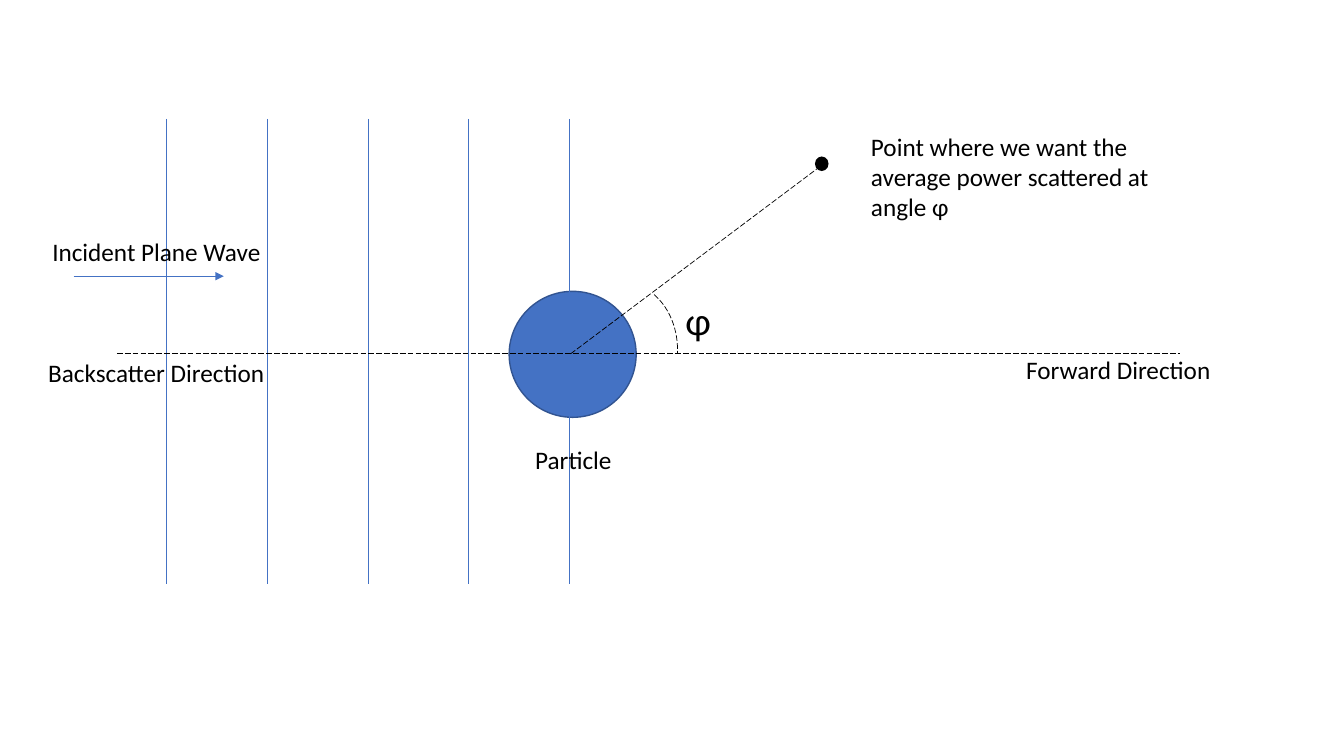
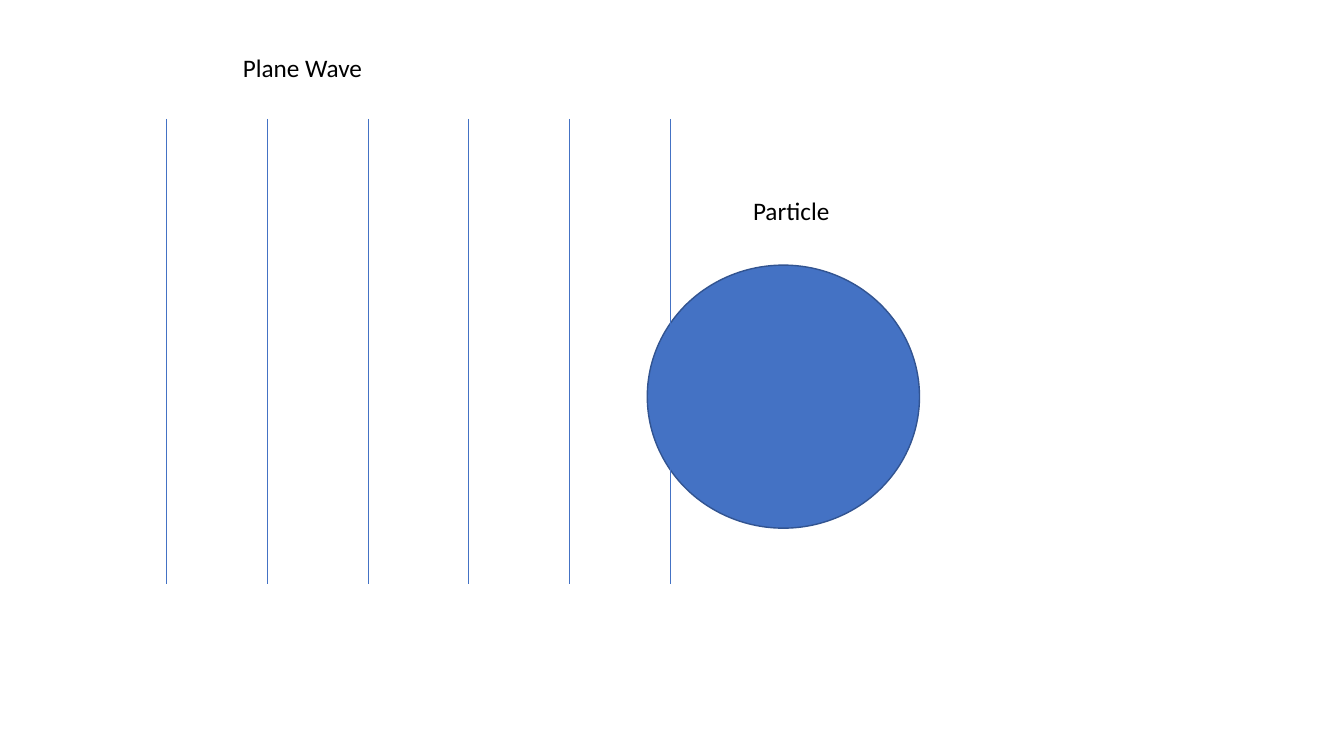
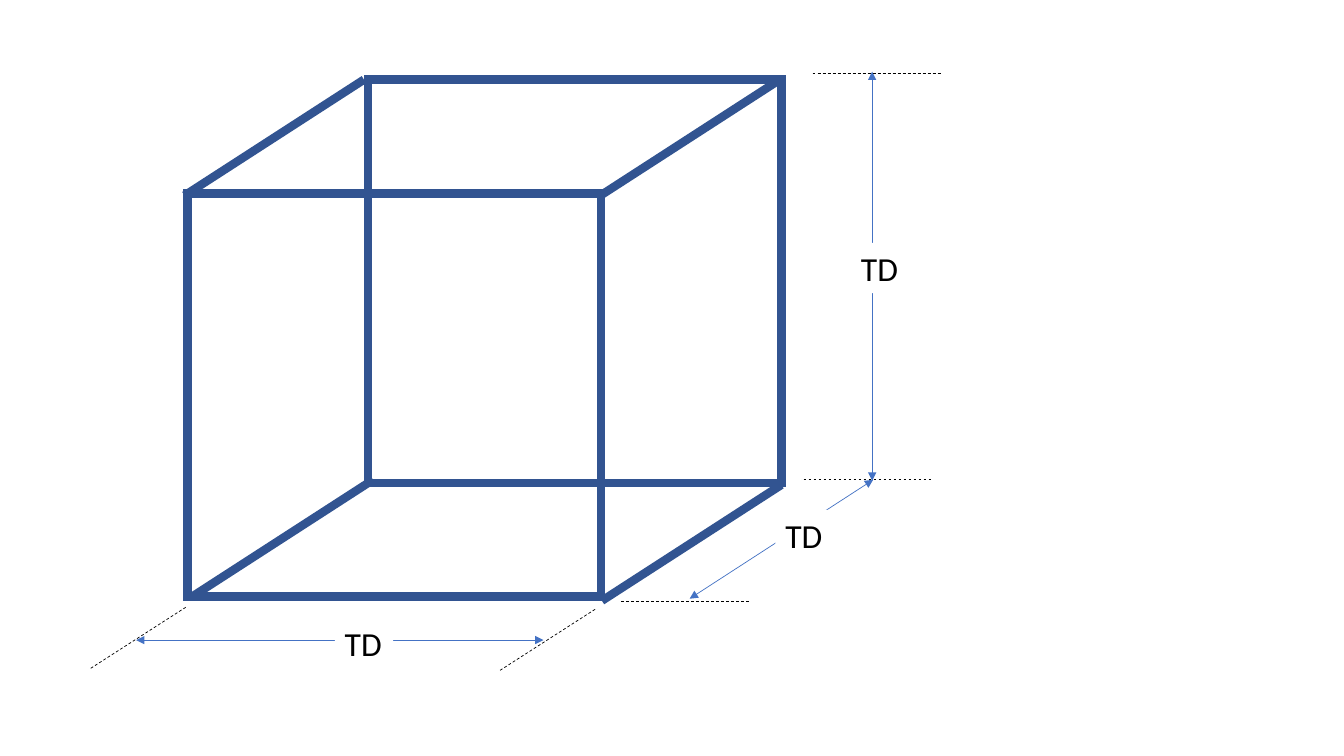
from lxml.etree import SubElement
from pptx import Presentation
from pptx.dml.color import RGBColor
from pptx.enum.dml import MSO_LINE as DASH
from pptx.enum.shapes import MSO_CONNECTOR as LINK, MSO_SHAPE as SHAPE
from pptx.enum.text import MSO_AUTO_SIZE as FIT
from pptx.oxml.ns import qn
from pptx.util import Inches, Pt

WIDTH, HEIGHT = 13.33, 7.5
FONT = "Calibri"
BLUE, NAVY, BLACK, WHITE = "4472C4", "325491", "000000", "FFFFFF"
THIN, OUTLINE, THICK = 0.5, 1, 6

WAVE_LEFT, WAVE_TOP, WAVE_STEP, WAVE_HEIGHT = 1.65, 1.18, 1, 4.61
LABEL_WIDTH, LABEL_HEIGHT = 1.99, 0.4

SCATTER_LABELS = [
    ("Particle", (5.21, 4.36, LABEL_WIDTH, LABEL_HEIGHT), 18, True),
    ("Incident Plane Wave", (0.42, 2.3, 2.29, LABEL_HEIGHT), 18, False),
    ("Point where we want the average power scattered at angle φ ",
     (8.54, 1.25, 3.09, 1.01), 18, True),
    ("Forward Direction", (10.08, 3.47, 2.05, LABEL_HEIGHT), 18, False),
    ("Backscatter Direction", (0.38, 3.5, 2.37, LABEL_HEIGHT), 18, False),
    ("φ", (6.7, 2.89, 0.56, 0.57), 28, True),
]
WAVE_LABELS = [
    ("Plane Wave", (2.31, 0.47, LABEL_WIDTH, LABEL_HEIGHT), 18, True),
    ("Particle", (7.37, 1.89, LABEL_WIDTH, LABEL_HEIGHT), 18, True),
]
AXIS_Y = 3.51
ANGLE_START, ANGLE_END = 300.21, 3.25

CUBE_SIZE = (4.1, 4)
BACK_FACE, FRONT_FACE = (3.65, 0.79), (1.86, 1.92)
DEPTH = (1.78, -1.15)
DEPTH_EDGES = [(1.83, 1.94), (1.92, 5.91), (5.97, 5.96), (5.94, 1.95)]
DIMENSIONS = [
    ((8.65, 0.71), (8.65, 4.77), (8.44, 2.41, 1.85, 0.5)),
    ((8.66, 4.76), (6.84, 5.94), (7.69, 5.06, 1.85, 0.5)),
    ((5.39, 6.35), (1.35, 6.35), (3.32, 6.13, 0.58, 0.5)),
]
EXTENSIONS = [
    ((1.27, 0), [(8.06, 0.73), (7.97, 4.76), (6.16, 5.97)]),
    ((0.95, -0.61), [(4.96, 6.65), (0.9, 6.63)]),
]


def rgb(color):
    return RGBColor.from_string(color)


def inches(values):
    return [Inches(v) for v in values]


def shift(point, step):
    return point[0] + step[0], point[1] + step[1]


def style_line(item, color, width, dash=None):
    item.line.color.rgb = rgb(color)
    item.line.width = Pt(width)
    if dash:
        item.line.dash_style = dash
    ln = item.line._get_or_add_ln()
    SubElement(ln, qn("a:miter"), lim="800000")
    return ln


def line(s, start, end, color=BLUE, width=THIN, dash=None, heads=()):
    link = s.shapes.add_connector(LINK.STRAIGHT, *inches(start + end))
    ln = style_line(link, color, width, dash)
    for head in heads:
        SubElement(ln, qn("a:" + head), type="triangle")
    SubElement(link._element.spPr, qn("a:effectLst"))


def shape(s, kind, box, fill, color, width=OUTLINE, dash=None):
    sp = s.shapes.add_shape(kind, *inches(box))
    sp.shadow.inherit = False
    if fill:
        sp.fill.solid()
        sp.fill.fore_color.rgb = rgb(fill)
    else:
        sp.fill.background()
    style_line(sp, color, width, dash)
    return sp


def label(s, text, box, size, wrap=True, fill=None):
    sp = s.shapes.add_textbox(*inches(box))
    if fill:
        sp.fill.solid()
        sp.fill.fore_color.rgb = rgb(fill)
    tf = sp.text_frame
    tf.word_wrap = wrap
    tf.auto_size = FIT.SHAPE_TO_FIT_TEXT
    r = tf.paragraphs[0].add_run()
    r.text = text
    r.font.name = FONT
    r.font.size = Pt(size)
    r.font.color.rgb = rgb(BLACK)


def particle_and_waves(s, box, count):
    shape(s, SHAPE.OVAL, box, BLUE, NAVY)
    for i in range(count):
        top = (WAVE_LEFT + i * WAVE_STEP, WAVE_TOP)
        line(s, top, shift(top, (0, WAVE_HEIGHT)))


def scatter_slide(s):
    particle_and_waves(s, (5.05, 2.89, 1.26, 1.25), 5)
    shape(s, SHAPE.OVAL, (8.09, 1.56, 0.12, 0.13), BLACK, BLACK)
    line(s, (1.16, AXIS_Y), (11.7, AXIS_Y), BLACK, dash=DASH.LONG_DASH)
    line(s, (0.73, 2.74), (2.22, 2.74), heads=["tailEnd"])
    line(s, (5.66, AXIS_Y), (8.11, 1.67), BLACK, dash=DASH.LONG_DASH)
    for item in SCATTER_LABELS:
        label(s, *item)
    arc = shape(s, SHAPE.ARC, (5.62, 2.8, 1.1, 1.34), None, BLACK, THIN,
                DASH.LONG_DASH)
    for i, degrees in enumerate((ANGLE_START, ANGLE_END)):
        arc.adjustments[i] = degrees * 0.6


def wave_slide(s):
    particle_and_waves(s, (6.42, 2.63, 2.7, 2.61), 6)
    for item in WAVE_LABELS:
        label(s, *item)


def cube_slide(s):
    shape(s, SHAPE.RECTANGLE, BACK_FACE + CUBE_SIZE, None, NAVY, THICK)
    for corner in DEPTH_EDGES:
        line(s, corner, shift(corner, DEPTH), NAVY, THICK)
    shape(s, SHAPE.RECTANGLE, FRONT_FACE + CUBE_SIZE, None, NAVY, THICK)
    for start, end, box in DIMENSIONS:
        line(s, start, end, heads=["headEnd", "tailEnd"])
        label(s, "TD", box, 24, fill=WHITE)
    for step, starts in EXTENSIONS:
        for start in starts:
            line(s, start, shift(start, step), BLACK, dash=DASH.DASH)


prs = Presentation()
prs.slide_width, prs.slide_height = inches((WIDTH, HEIGHT))
for build in (scatter_slide, wave_slide, cube_slide):
    build(prs.slides.add_slide(prs.slide_layouts[6]))
prs.save("out.pptx")
